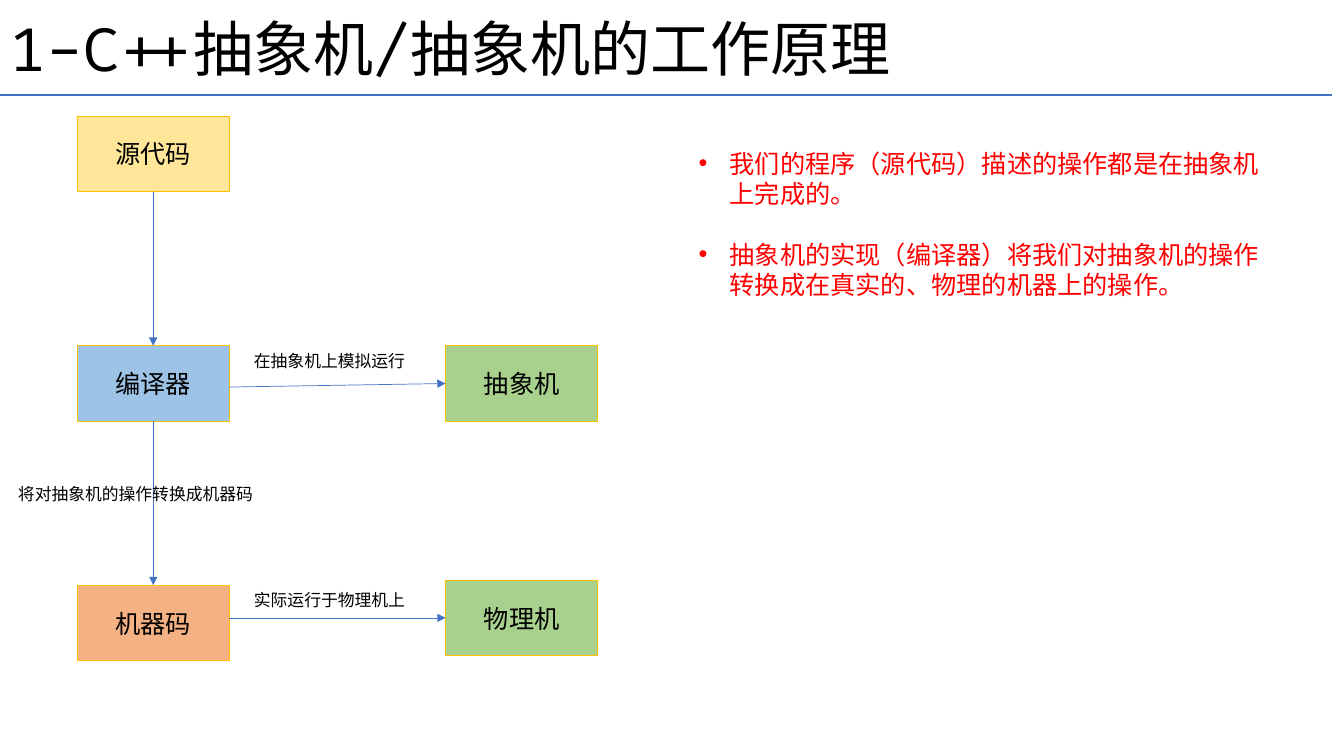
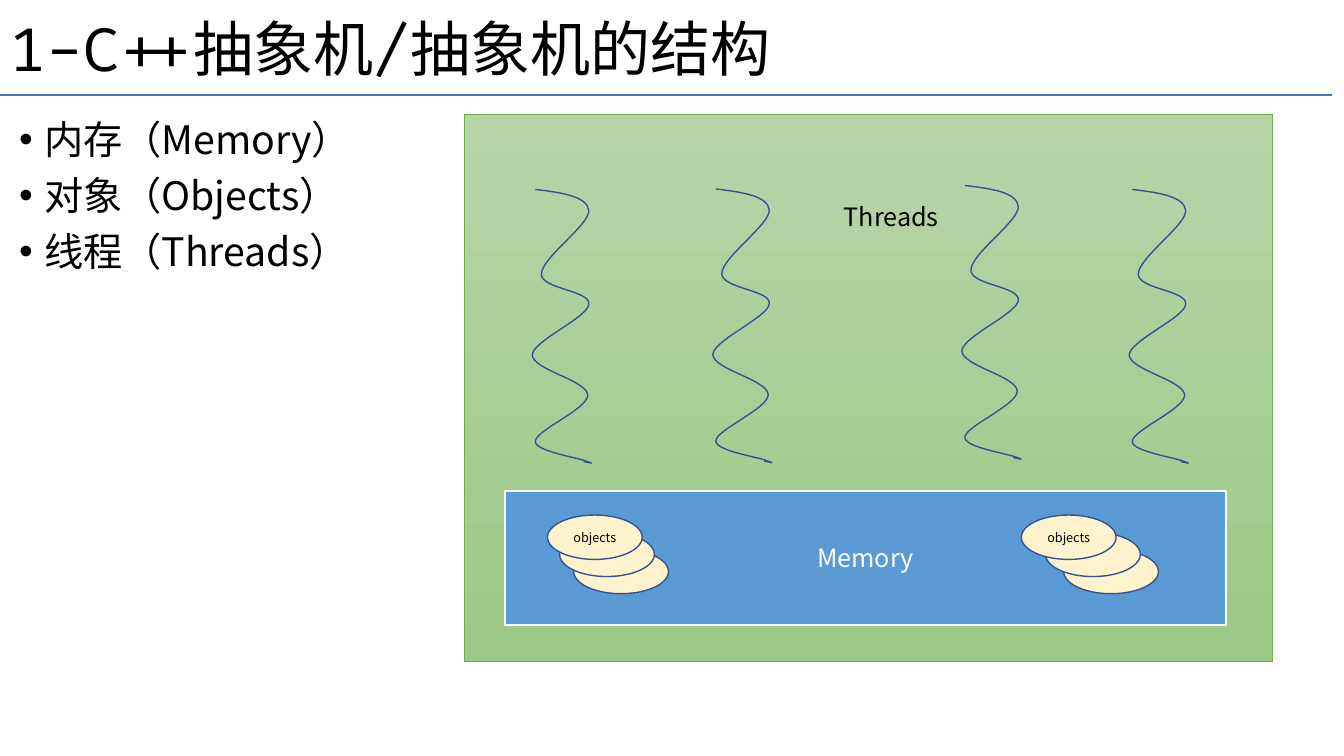
import dataclasses

import pptx
import pptx.dml.color
import pptx.enum.dml
import pptx.enum.shapes
import pptx.enum.text
import pptx.oxml
import pptx.oxml.ns
import pptx.util

Align = pptx.enum.text.PP_ALIGN
Anchor = pptx.enum.text.MSO_ANCHOR
Kind = pptx.enum.shapes.MSO_SHAPE
Pt = pptx.util.Pt
rgb = pptx.dml.color.RGBColor.from_string


@dataclasses.dataclass(frozen=True)
class Theme:
    latin: str = "Fira Code"
    chinese: str = "Noto Sans CJK SC"
    ink: str = "000000"
    white: str = "FFFFFF"
    accent: str = "FF0000"
    rule: str = "4472C4"
    gold: str = "FFC000"
    yellow: str = "FFE699"
    sky: str = "9DC3E6"
    orange: str = "F4B183"
    green: str = "A9D18E"
    machine: tuple = ("B5D5A7", "9CC987")
    machine_edge: str = "70AD47"
    memory: str = "5B9BD5"
    cream: str = "FFF2CC"
    navy: str = "325491"
    title: float = 42.9
    outline: float = 28
    body: float = 18
    label: float = 12
    small: float = 9


theme = Theme()
deck = pptx.Presentation()
deck.slide_width = pptx.util.Inches(13.33)
deck.slide_height = pptx.util.Inches(7.5)
cell = deck.slide_height / 75


def grid(*counts):
    """Turn counts of grid cells (75 rows to a page) into lengths."""
    return [round(count * cell) for count in counts]


def write(frame, paragraphs, size, color, anchor=Anchor.MIDDLE, indent=0, **layout):
    """Fill a frame; each paragraph is a list of (text, font) pairs.

    The keywords in layout are paragraph attributes; an indent adds bullets.
    """
    frame_format = {
        "word_wrap": True,
        "auto_size": pptx.enum.text.MSO_AUTO_SIZE.NONE,
        "vertical_anchor": anchor,
    }
    for name, value in frame_format.items():
        setattr(frame, name, value)
    for index, spans in enumerate(paragraphs):
        para = frame.add_paragraph() if index else frame.paragraphs[0]
        for name, value in layout.items():
            if index or name != "space_before":
                setattr(para, name, value)
        if indent:
            properties = para._p.get_or_add_pPr()
            properties.set("marL", str(indent))
            properties.set("indent", str(-indent))
            for tag, key, value in (("buFont", "typeface", "Arial"), ("buChar", "char", "•")):
                bullet = pptx.oxml.parse_xml(f"<a:{tag} {pptx.oxml.ns.nsdecls('a')}/>")
                bullet.set(key, value)
                properties.append(bullet)
        for text, font in spans:
            span = para.add_run()
            span.text = text
            span.font.color.rgb = rgb(color)
            for name, value in {"name": font, "size": Pt(size), "bold": False}.items():
                setattr(span.font, name, value)
            asian = pptx.oxml.parse_xml(f"<a:ea {pptx.oxml.ns.nsdecls('a')}/>")
            asian.set("typeface", theme.chinese)
            span._r.get_or_add_rPr().append(asian)


# Pages with their titles
pages = []
for topic in ("抽象机的工作原理", "抽象机的结构"):
    page = deck.slides.add_slide(deck.slide_layouts[5])
    title = page.shapes.title
    title.left, title.top, title.width, title.height = grid(0, 2, 115, 7.4)
    title.text_frame.margin_left, title.text_frame.margin_top, title.text_frame.margin_bottom = grid(
        0.9, 0.2, 0.8)
    write(title.text_frame, [[("1-C++抽象机/", theme.latin), (topic, theme.chinese)]],
          theme.title, theme.ink, alignment=Align.LEFT, line_spacing=0.8)
    pages.append(page)
working, structure = pages

# Bulleted lists: page, area, indent, size, colour, line pitch, gap, items
lists = [
    (working, (68.3, 14.2, 59.6, 16.2), 3.1, theme.body, theme.accent, 21.6, 21.6,
     ["我们的程序（源代码）描述的操作都是在抽象机上完成的。",
      "抽象机的实现（编译器）将我们对抽象机的操作转换成在真实的、物理的机器上的操作。"]),
    (structure, (0.9, 11.4, 131.2, 60.4), 2.5, theme.outline, theme.ink, 30.2, 10,
     ["内存（Memory）", "对象（Objects）", "线程（Threads）"]),
]
for page, area, indent, size, color, pitch, gap, items in lists:
    box = page.shapes.add_textbox(*grid(*area))
    write(box.text_frame, [[(item, theme.chinese)] for item in items], size, color,
          Anchor.TOP, grid(indent)[0], line_spacing=Pt(pitch), space_before=Pt(gap))

# Shapes: page, kind, area, fill, edge, edge width, text, size, text colour
left_column, right_column = 7.65, 44.2
box_width, box_height = 15.1, 7.5
source_row, compiler_row, code_row, physical_row = 11.5, 34.3, 58.05, 57.55
shapes = [
    (working, Kind.RECTANGLE, (column, row, box_width, box_height),
     fill, theme.gold, 0.5, text, theme.body, theme.ink)
    for column, row, fill, text in (
        (left_column, source_row, theme.yellow, "源代码"),
        (left_column, compiler_row, theme.sky, "编译器"),
        (left_column, code_row, theme.orange, "机器码"),
        (right_column, compiler_row, theme.green, "抽象机"),
        (right_column, physical_row, theme.green, "物理机"),
    )
]
shapes += [
    (structure, Kind.RECTANGLE, (46.1, 11.37, 80.1, 54.2),
     theme.machine, theme.machine_edge, 0.5, "", theme.body, theme.ink),
    (structure, Kind.RECTANGLE, (50.1, 48.7, 71.5, 13.3),
     theme.memory, theme.white, 1.5, "Memory", theme.body, theme.white),
]
for stack in ((56.9, 55.5, 54.3), (105.5, 103.7, 101.3)):
    for level, (column, text) in enumerate(zip(stack, ("", "", "objects"))):
        shapes.append((structure, Kind.OVAL, (column, 54.5 - 1.7 * level, 9.4, 4.4),
                       theme.cream, theme.navy, 1, text, theme.small, theme.ink))

for page, kind, area, fill, edge, width, text, size, color in shapes:
    shape = page.shapes.add_shape(kind, *grid(*area))
    shape.shadow.inherit = False
    if isinstance(fill, tuple):
        shape.fill.gradient()
        shape.fill.gradient_angle = 270
        for stop, shade in zip(shape.fill.gradient_stops, fill):
            stop.color.rgb = rgb(shade)
    else:
        shape.fill.solid()
        shape.fill.fore_color.rgb = rgb(fill)
    shape.line.color.rgb = rgb(edge)
    shape.line.width = Pt(width)
    if text:
        write(shape.text_frame, [[(text, theme.chinese)]], size, color, alignment=Align.CENTER)

# Title rules and flow arrows: page, start and end, width, arrowhead
middle = left_column + box_width / 2
box_right = left_column + box_width
lines = [(page, (0, 9.4, 132.1, 9.4), 1.5, False) for page in pages]
lines += [
    (working, ends, 0.5, True)
    for ends in (
        (middle, source_row + box_height, middle, compiler_row),
        (middle, compiler_row + box_height, middle, code_row),
        (box_right, 38.4, right_column, 38.05),
        (box_right, 61.3, right_column, 61.3),
    )
]
for page, ends, width, arrow in lines:
    line = page.shapes.add_connector(pptx.enum.shapes.MSO_CONNECTOR.STRAIGHT, *grid(*ends))
    line.line.color.rgb = rgb(theme.rule)
    line.line.width = Pt(width)
    properties = line.element.spPr
    if arrow:
        properties.get_or_add_ln().append(pptx.oxml.parse_xml(
            f'<a:tailEnd {pptx.oxml.ns.nsdecls("a")} type="triangle"/>'))
    properties.append(pptx.oxml.parse_xml(f"<a:effectLst {pptx.oxml.ns.nsdecls('a')}/>"))

# Threads: one chain of cubic curves (two handles and an end), offsets from its start
curves = [
    ((2.6, 0.3), (5.2, 0.7), (5.3, 2.1)),
    ((5.4, 3.5), (0.6, 6.8), (0.6, 8.4)),
    ((0.6, 9.9), (5.5, 10), (5.3, 11.4)),
    ((5.2, 12.7), (-0.2, 15), (-0.3, 16.4)),
    ((-0.3, 17.9), (5.1, 18.9), (5.2, 20.4)),
    ((5.2, 21.8), (0, 23.9), (0, 25)),
    ((0, 26), (4.3, 26.6), (5.2, 27)),
    ((6, 27.3), (5.4, 27.1), (4.8, 27)),
]
wave_left = min(end[0] for *handles, end in curves)
for column, row in ((53.1, 18.8), (71, 18.75), (112.3, 18.8), (95.7, 18.4)):
    builder = structure.shapes.build_freeform(*grid(column, row))
    builder.add_line_segments(
        [grid(column + x, row + y) for *handles, (x, y) in curves], close=False)
    thread = builder.convert_to_shape()
    thread.shadow.inherit = False
    thread.fill.background()
    thread.line.color.rgb = rgb(theme.navy)
    thread.line.width = Pt(1)
    segments = list(thread.element.iter(pptx.oxml.ns.qn("a:lnTo")))
    for segment, curve in zip(segments, curves):
        segment.clear()
        bend = pptx.oxml.parse_xml(f"<a:cubicBezTo {pptx.oxml.ns.nsdecls('a')}/>")
        for x, y in curve:
            left, top = grid(x - wave_left, y)
            bend.append(pptx.oxml.parse_xml(
                f'<a:pt {pptx.oxml.ns.nsdecls("a")} x="{left}" y="{top}"/>'))
        segment.getparent().replace(segment, bend)

# Free labels
labels = [
    (working, (0.8, 47.5, 28.8, 3), "将对抽象机的操作转换成机器码", theme.label),
    (working, (24.2, 34.3, 17.5, 3), "在抽象机上模拟运行", theme.label),
    (working, (24.2, 58.05, 17.5, 3), "实际运行于物理机上", theme.label),
    (structure, (82.7, 19.5, 12.2, 4), "Threads", theme.body),
]
for page, area, text, size in labels:
    box = page.shapes.add_textbox(*grid(*area))
    write(box.text_frame, [[(text, theme.chinese)]], size, theme.ink)

deck.save("out.pptx")
